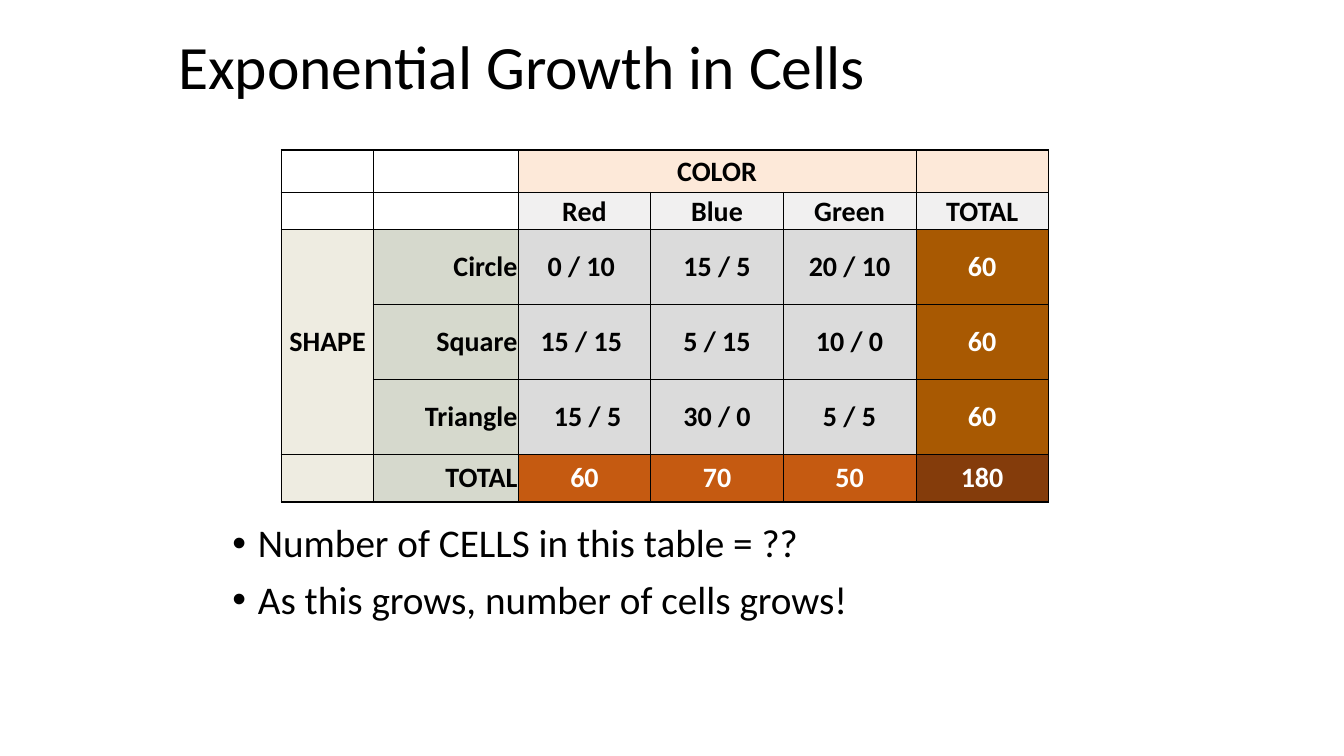
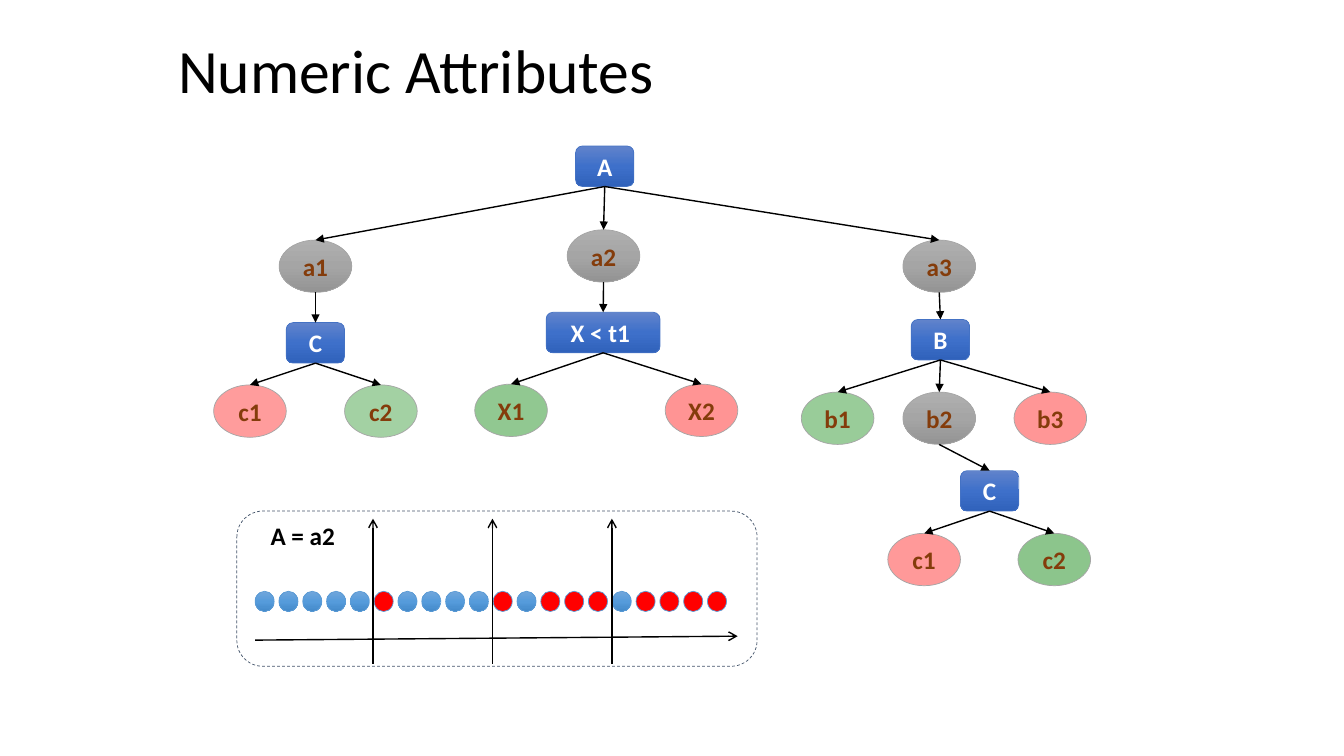
"""Build two slides: a contingency table and a decision tree with numeric splits."""
import copy

import pptx
import pptx.util
import pptx.dml.color
import pptx.enum.dml
import pptx.enum.shapes
import pptx.enum.text
import pptx.oxml.ns
from lxml import etree

Cm, Pt = pptx.util.Cm, pptx.util.Pt
qn = pptx.oxml.ns.qn
SHAPE = pptx.enum.shapes.MSO_SHAPE
ALIGN = pptx.enum.text.PP_ALIGN
ANCHOR = pptx.enum.text.MSO_ANCHOR

COLORS = {
    "black": "000000", "white": "FFFFFF", "brown": "843C0B",
    "red": "FF0000", "green": "008000", "slate": "44546A",
    "box_line": "4472C4", "node_line": "A5A5A5", "dot_line": "5B9BD5",
    "peach": "FDE9D9", "header": "F1F0F0", "cream": "EEECE1", "sage": "D6D9CD",
    "count": "DBDBDB", "row_total": "A85902", "col_total": "C55A11",
}
GRADIENTS = {
    "blue": ("6183CB", "3E70CA", "3062BB"),
    "grey": ("AFAFAF", "A5A5A5", "939393"),
    "sky": ("71A6DB", "559BDB", "448ACA"),
}
FONT = {"name": "Calibri"}
TITLE = {**FONT, "size": Pt(44)}
BODY = {**FONT, "size": Pt(28)}
CELL = {**FONT, "size": Pt(20), "bold": True}
LABEL = {**FONT, "size": Pt(18), "bold": True}

TITLES = (("Exponential Growth in Cells", 0.48), ("Numeric Attributes", 0.58))
BULLETS = ("Number of CELLS in this table = ??", "As this grows, number of cells grows!")

COL_WIDTHS = (2.31, 3.66, 3.34, 3.34, 3.34, 3.34)
ROW_HEIGHTS = (1.06, 0.93, 1.89, 1.89, 1.89, 1.21)
ROWS = (
    ("", "", "COLOR", "", "", ""),
    ("", "", "Red", "Blue", "Green", "TOTAL"),
    ("SHAPE ", "Circle", "0 / 10 ", "15 / 5", "20 / 10", "60"),
    ("", "Square", "15 / 15 ", "5 / 15", "10 / 0", "60"),
    ("", "Triangle", " 15 / 5", "30 / 0", "5 / 5", "60"),
    ("", "TOTAL", "60", "70", "50", "180"),
)
COUNT_FILLS = ("cream", "sage", "count", "count", "count", "row_total")
FILLS = (
    (None, None, "peach", "peach", "peach", "peach"),
    (None, None, "header", "header", "header", "header"),
    COUNT_FILLS, COUNT_FILLS, COUNT_FILLS,
    ("cream", "sage", "col_total", "col_total", "col_total", "brown"),
)
DARK_FILLS = ("row_total", "col_total", "brown")

BOX_SIZE, WIDE_BOX_SIZE, NODE_SIZE = (1.47, 1.02), (2.87, 1.02), (1.83, 1.32)
# key: (text, fill, opacity, centre x, top, parent)
TREE = {
    "A": ("A", "blue", None, 15.24, 3.68, None),
    "a1": ("a1", "grey", None, 7.95, 6.05, "A"),
    "a2": ("a2", "grey", None, 15.21, 5.79, "A"),
    "a3": ("a3", "grey", None, 23.67, 6.05, "A"),
    "C": ("C", "blue", None, 7.95, 8.13, "a1"),
    "C.c1": ("c1", "red", 39, 6.3, 9.7, "C"),
    "C.c2": ("c2", "green", 36, 9.6, 9.7, "C"),
    "X": ("X < t1 ", "blue", None, 15.2, 7.87, "a2"),
    "X1": ("X1", "green", 43, 12.88, 9.68, "X"),
    "X2": ("X2", "red", 42, 17.68, 9.68, "X"),
    "B": ("B", "blue", None, 23.7, 8.05, "a3"),
    "b1": ("b1", "green", 40, 21.11, 9.88, "B"),
    "b2": ("b2", "grey", None, 23.67, 9.88, "B"),
    "b3": ("b3", "red", 41, 26.47, 9.88, "B"),
    "b2.C": ("C", "blue", None, 24.94, 11.86, "b2"),
    "b2.c1": ("c1", "red", 40, 23.29, 13.44, "b2.C"),
    "b2.c2": ("c2", "green", 45, 26.57, 13.44, "b2.C"),
}
DOTS = "BBBBBRBBBBRBRRRBRRRR"
DOT_FILLS = {"B": "sky", "R": "red"}
DOT_LEFT, DOT_TOP, DOT_PITCH = 6.43, 14.9, 0.6
SPLIT_LEFT, SPLIT_PITCH, SPLIT_COUNT = 9.4, 3.01, 3


def rgb(name):
    return pptx.dml.color.RGBColor.from_string(COLORS[name])


def write(p, text, fmt, color="black", align=ALIGN.LEFT):
    p.alignment = align
    r = p.add_run()
    r.text = text
    for key, value in fmt.items():
        setattr(r.font, key, value)
    r.font.color.rgb = rgb(color)


def add_text(s, left, top, width, height, lines, fmt, anchor=ANCHOR.TOP,
             wrap=True, align=ALIGN.LEFT, bullet=False):
    tf = s.shapes.add_textbox(Cm(left), Cm(top), Cm(width), Cm(height)).text_frame
    tf.word_wrap, tf.vertical_anchor = wrap, anchor
    for i, line in enumerate(lines):
        p = tf.add_paragraph() if i else tf.paragraphs[0]
        if bullet:
            pPr = p._p.get_or_add_pPr()
            pPr.set("marL", str(Cm(0.64)))
            pPr.set("indent", str(-Cm(0.64)))
            etree.SubElement(pPr, qn("a:buFont"), typeface="Arial")
            etree.SubElement(pPr, qn("a:buChar"), char="•")
        p.line_spacing = 0.9
        p.space_before = Pt(10 if i else 0)
        write(p, line, fmt, align=align)


def paint(sp, fill, line, opacity=None):
    sp.shadow.inherit = False
    if fill is None:
        sp.fill.background()
    elif fill in GRADIENTS:
        sp.fill.gradient()
        sp.fill.gradient_angle = 270
        stops = sp._element.spPr.find(".//" + qn("a:gsLst"))
        stops.insert(1, copy.deepcopy(stops[0]))
        for i, (stop, color) in enumerate(zip(sp.fill.gradient_stops, GRADIENTS[fill])):
            stop.color.rgb = pptx.dml.color.RGBColor.from_string(color)
            stop.position = i / 2
    else:
        sp.fill.solid()
        sp.fill.fore_color.rgb = rgb(fill)
        if opacity:
            color = sp._element.spPr.find(qn("a:solidFill"))[0]
            etree.SubElement(color, qn("a:alpha"), val=str(opacity * 1000))
    sp.line.color.rgb = rgb(line)
    sp.line.width = Pt(0.5)


def add_shape(s, kind, left, top, width, height, fill, line, opacity=None):
    sp = s.shapes.add_shape(kind, Cm(left), Cm(top), Cm(width), Cm(height))
    paint(sp, fill, line, opacity)
    return sp


def add_arrow(s, x1, y1, x2, y2, head="arrow"):
    cx = s.shapes.add_connector(pptx.enum.shapes.MSO_CONNECTOR.STRAIGHT, x1, y1, x2, y2)
    cx.line.color.rgb = rgb("black")
    cx.line.width = Pt(1)
    etree.SubElement(cx.line._get_or_add_ln(), qn("a:tailEnd"), type=head)
    etree.SubElement(cx._element.spPr, qn("a:effectLst"))
    return cx


def add_slide(prs, title, top):
    s = prs.slides.add_slide(prs.slide_layouts[6])
    add_text(s, 4.24, top, 24.77, 2.54, [title], TITLE, ANCHOR.MIDDLE)
    return s


def set_borders(cell, row, col):
    outer = {"L": col == 0, "R": col == len(COL_WIDTHS) - 1,
             "T": row == 0, "B": row == len(ROW_HEIGHTS) - 1}
    tcPr = cell._tc.get_or_add_tcPr()
    for side, is_outer in outer.items():
        ln = etree.SubElement(tcPr, qn("a:ln" + side), w=str(Pt(1 if is_outer else 0.5)))
        fill = etree.SubElement(ln, qn("a:solidFill"))
        etree.SubElement(fill, qn("a:srgbClr"), val=COLORS["black"])


def add_count_table(s):
    table = s.shapes.add_table(len(ROWS), len(COL_WIDTHS), Cm(7.09), Cm(3.78),
                               Cm(sum(COL_WIDTHS)), Cm(sum(ROW_HEIGHTS))).table
    table.first_row = table.horz_banding = False
    for column, width in zip(table.columns, COL_WIDTHS):
        column.width = Cm(width)
    for row, height in zip(table.rows, ROW_HEIGHTS):
        row.height = Cm(height)
    for i, (texts, fills) in enumerate(zip(ROWS, FILLS)):
        for j, (text, fill) in enumerate(zip(texts, fills)):
            cell = table.cell(i, j)
            cell.margin_left = cell.margin_right = cell.margin_top = Cm(0.02)
            cell.margin_bottom = 0
            cell.vertical_anchor = ANCHOR.BOTTOM if i == 1 else ANCHOR.MIDDLE
            set_borders(cell, i, j)
            if fill:
                cell.fill.solid()
                cell.fill.fore_color.rgb = rgb(fill)
            else:
                cell.fill.background()
            if text:
                write(cell.text_frame.paragraphs[0], text, CELL,
                      "white" if fill in DARK_FILLS else "black",
                      ALIGN.RIGHT if j < 2 else ALIGN.CENTER)
    table.cell(0, 2).merge(table.cell(0, 4))
    table.cell(2, 0).merge(table.cell(4, 0))


def add_tree(s):
    nodes = {}
    for key, (text, fill, opacity, center, top, parent) in TREE.items():
        is_box = fill == "blue"
        width, height = NODE_SIZE
        if is_box:
            width, height = WIDE_BOX_SIZE if len(text) > 2 else BOX_SIZE
        sp = add_shape(s, SHAPE.ROUNDED_RECTANGLE if is_box else SHAPE.OVAL,
                       center - width / 2, top, width, height, fill,
                       "box_line" if is_box else "node_line", opacity)
        tf = sp.text_frame
        tf.margin_left = tf.margin_right = tf.margin_top = tf.margin_bottom = 0
        tf.vertical_anchor = ANCHOR.MIDDLE
        write(tf.paragraphs[0], text, LABEL, "white" if is_box else "brown", ALIGN.CENTER)
        nodes[key] = sp
        if parent:
            above = nodes[parent]
            cx = add_arrow(s, above.left + above.width // 2, above.top + above.height,
                           sp.left + sp.width // 2, sp.top, "triangle")
            if TREE[parent][1] == "blue":
                cx.begin_connect(above, 2)
            cx.end_connect(sp, 0)


def add_split_panel(s):
    add_arrow(s, Cm(6.43), Cm(16.13), Cm(18.59), Cm(16.03))
    for i, dot in enumerate(DOTS):
        add_shape(s, SHAPE.OVAL, DOT_LEFT + i * DOT_PITCH, DOT_TOP, 0.48, 0.51,
                  DOT_FILLS[dot], "dot_line")
    for i in range(SPLIT_COUNT):
        x = Cm(SPLIT_LEFT + i * SPLIT_PITCH)
        add_arrow(s, x, Cm(16.72), x, Cm(13.07))
    frame = add_shape(s, SHAPE.ROUNDED_RECTANGLE, 5.97, 12.88, 13.11, 3.91, None, "slate")
    frame.line.dash_style = pptx.enum.dml.MSO_LINE.DASH
    add_text(s, 6.55, 13.08, 2.16, 1.02, ["A = a2"], LABEL, wrap=False, align=ALIGN.CENTER)


def main():
    prs = pptx.Presentation()
    prs.slide_width, prs.slide_height = Cm(33.87), Cm(19.05)
    table_slide, tree_slide = [add_slide(prs, *title) for title in TITLES]
    add_text(table_slide, 5.61, 13.08, 22.86, 5.28, BULLETS, BODY, bullet=True)
    add_count_table(table_slide)
    add_tree(tree_slide)
    add_split_panel(tree_slide)
    prs.save("out.pptx")


if __name__ == "__main__":
    main()
